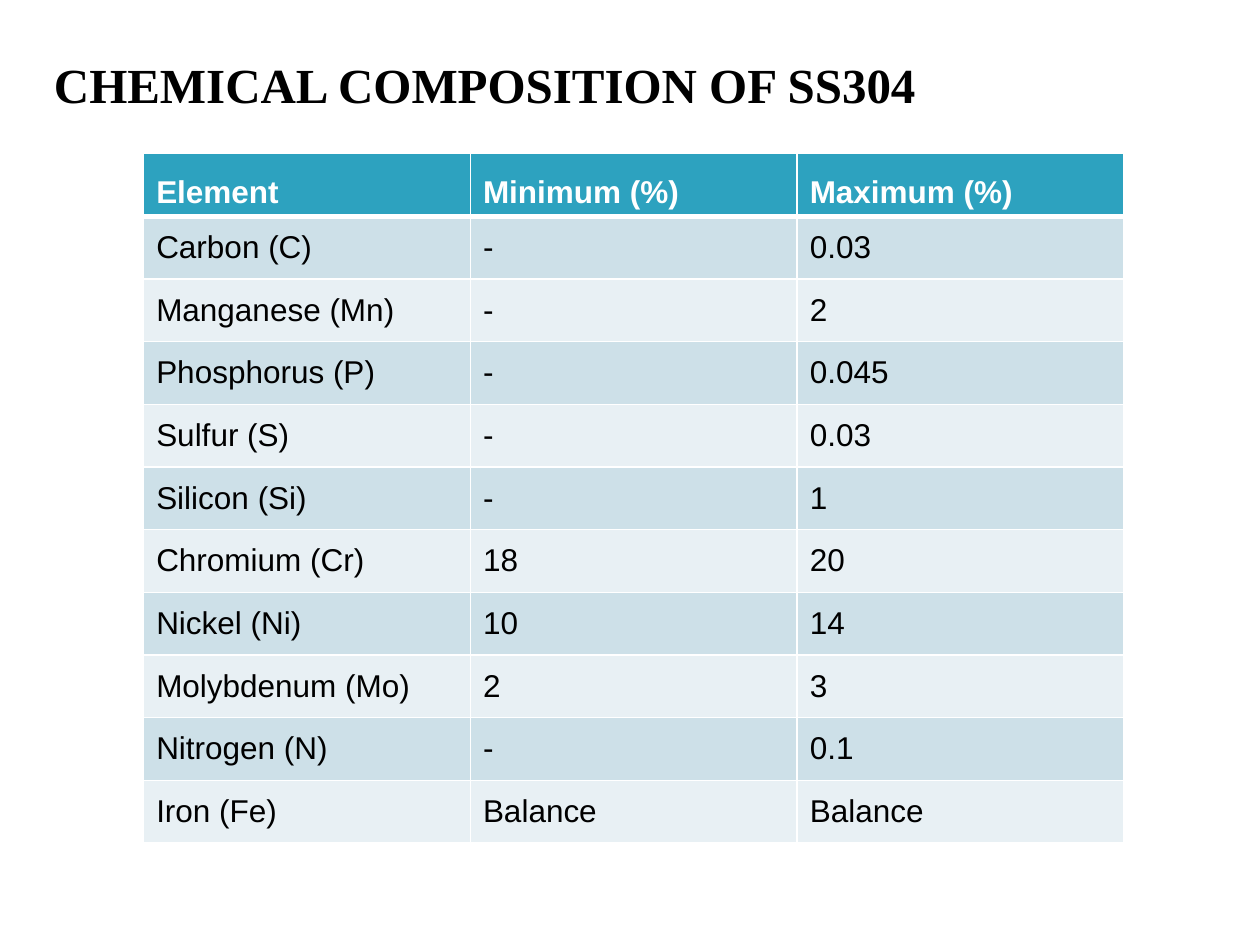
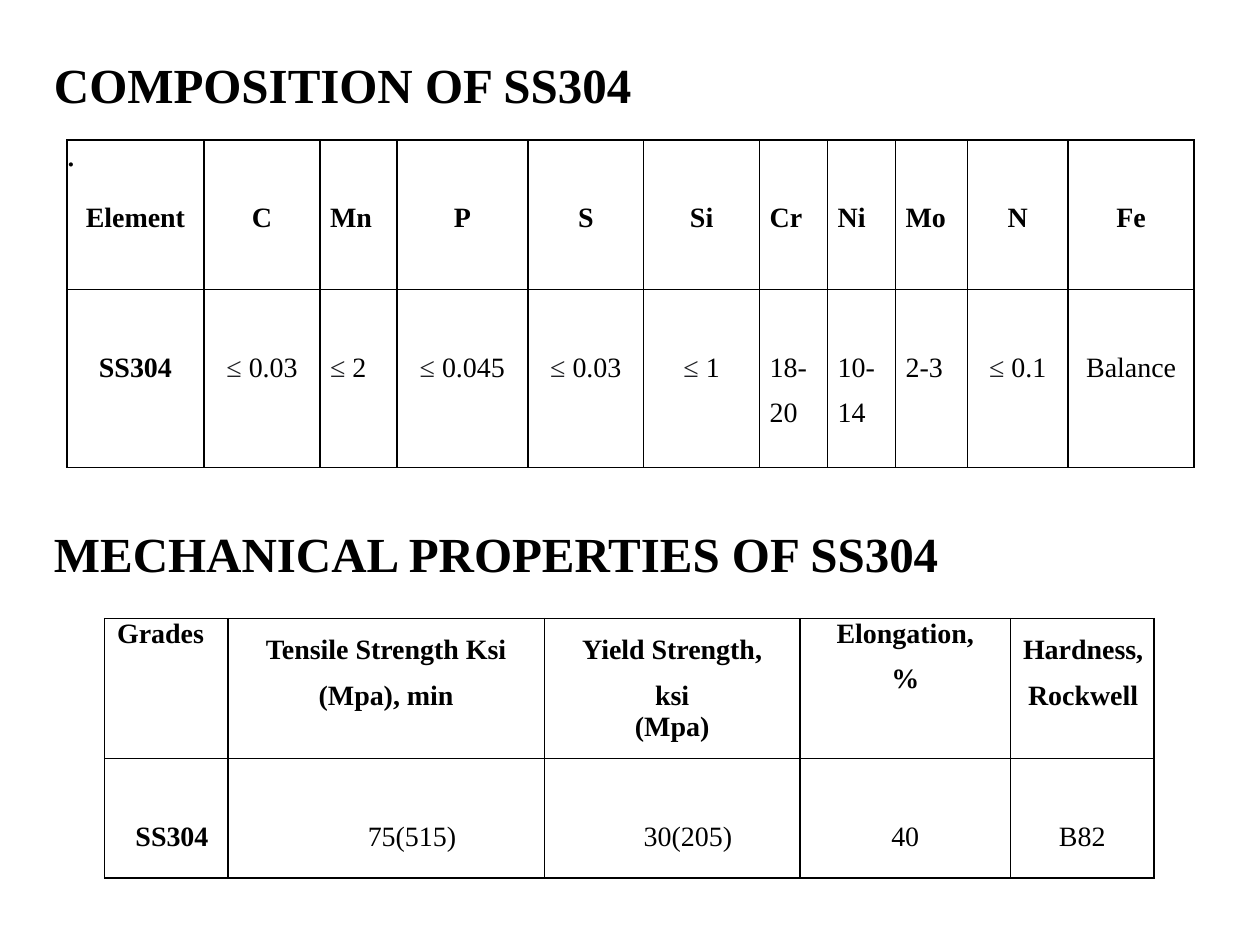
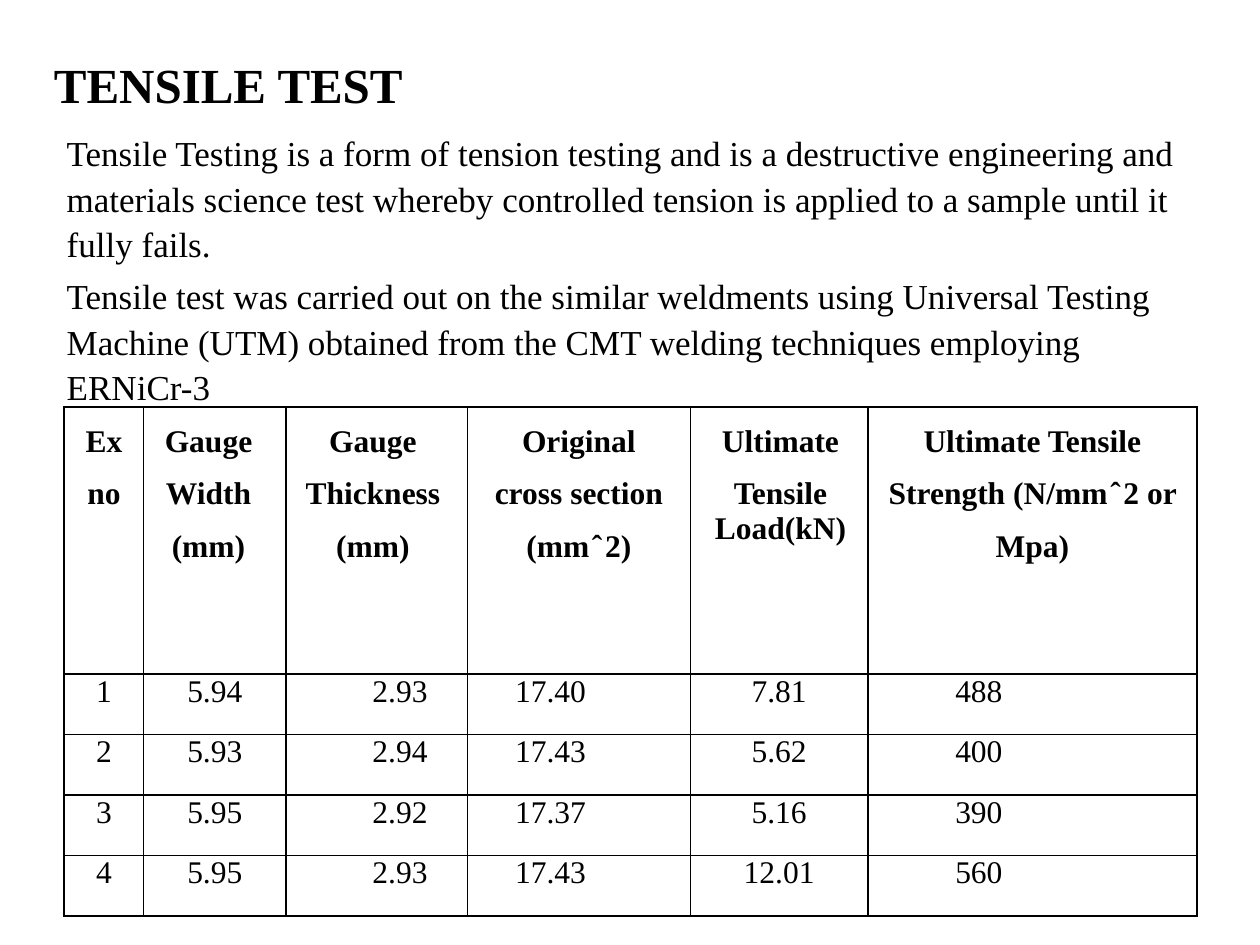
from lxml.etree import SubElement
from pptx import Presentation
from pptx.dml.color import RGBColor
from pptx.enum.text import MSO_ANCHOR, PP_ALIGN
from pptx.oxml.ns import qn
from pptx.util import Inches, Pt

SERIF, SANS = "Times New Roman", "Arial"
BLACK, WHITE, SIGN = "000000", "FFFFFF", "202124"
HEAD, BANDS = "2DA2BF", ("CDE0E8", "E8F0F4")
LEFT, MID = PP_ALIGN.LEFT, PP_ALIGN.CENTER
LEAD = 1.08
TITLE = (0.33, 0.35, 8.59, 0.5)
BODY = (0.33, 0.97, 9.33, 6.2)

ELEMENTS = [
    ("Element", "Minimum (%)", "Maximum (%)"),
    ("Carbon (C)", "-", "0.03"),
    ("Manganese (Mn)", "-", "2"),
    ("Phosphorus (P)", "-", "0.045"),
    ("Sulfur (S)", "-", "0.03"),
    ("Silicon (Si)", "-", "1"),
    ("Chromium (Cr)", "18", "20"),
    ("Nickel (Ni)", "10", "14"),
    ("Molybdenum (Mo)", "2", "3"),
    ("Nitrogen (N)", "-", "0.1"),
    ("Iron (Fe)", "Balance", "Balance"),
]
LIMITS = [
    ("Element", "C", "Mn", "P", "S", "Si", "Cr", "Ni", "Mo", "N", "Fe"),
    ("SS304", "≤ 0.03", "≤ 2", "≤ 0.045", "≤ 0.03", "≤ 1",
     "18-\n20", "10-\n14", "2-3", "≤ 0.1", "Balance"),
]
STRENGTH = [
    ("Grades", "Tensile Strength Ksi (Mpa), min", "Yield Strength, ksi\n(Mpa)",
     "Elongation,\n%", "Hardness, Rockwell"),
    ("SS304", "75(515)", "30(205)", "40", "B82"),
]
TESTS = [
    ("Ex no", "Gauge Width (mm)", "Gauge Thickness (mm)",
     "Original cross section (mm ̂ 2)", "Ultimate Tensile\nLoad(kN)",
     "Ultimate Tensile Strength (N/mm ̂ 2 or Mpa)"),
    ("1", "5.94", "2.93", "17.40", "7.81", "488"),
    ("2", "5.93", "2.94", "17.43", "5.62", "400"),
    ("3", "5.95", "2.92", "17.37", "5.16", "390"),
    ("4", "5.95", "2.93", "17.43", "12.01", "560"),
]
ABOUT = (
    "Tensile Testing is a form of tension testing and is a destructive engineering "
    "and materials science test whereby controlled tension is applied to a sample "
    "until it fully fails.\n"
    "Tensile test was carried out on the similar weldments using Universal Testing "
    "Machine (UTM) obtained from the CMT welding techniques employing ERNiCr-3"
)


def paint(code):
    """Turn a hex string into a colour."""
    return RGBColor.from_string(code)


def write(frame, text, size, bold=False, font=SERIF, color=BLACK,
          align=LEFT, lead=1, rest=1, gap=0):
    """Fill a frame; rest and gap space the paragraphs after the first."""
    frame.text = text
    for place, para in enumerate(frame.paragraphs):
        para.alignment = align
        para.line_spacing = rest if place else lead
        para.space_before = Pt(gap if place else 0)
        if para.text.startswith("≤ "):
            value = para.text[2:]
            para.text = "≤ "
            para.add_run().text = value
        for run in para.runs:
            run.font.name, run.font.size, run.font.bold = font, Pt(size), bold
            run.font.color.rgb = paint(SIGN if run.text == "≤ " else color)


def label(slide, box, text, size, bold=False, inset=0.1):
    """Place a wrapped text box."""
    frame = slide.shapes.add_textbox(*map(Inches, box)).text_frame
    frame.word_wrap = True
    frame.margin_left = Inches(inset)
    write(frame, text, size, bold, lead=LEAD, rest=LEAD, gap=4)


def title(slide, text, box=TITLE):
    """Place a bold heading."""
    label(slide, box, text, 28, True)


def edge(cell, color, base=1):
    """Draw the four borders of a cell, base being the bottom width."""
    props = cell._tc.get_or_add_tcPr()
    for side, width in (("L", 1), ("R", 1), ("T", 1), ("B", base)):
        line = SubElement(props, qn(f"a:ln{side}"), w=str(Pt(width)))
        fill = SubElement(line, qn("a:solidFill"))
        SubElement(fill, qn("a:srgbClr"), val=color)


def grid(slide, spot, cols, rows, data, style):
    """Add a table at a spot and style each cell by its row and column."""
    box = (*spot, sum(cols), sum(rows))
    table = slide.shapes.add_table(len(rows), len(cols), *map(Inches, box)).table
    table.first_row = table.horz_banding = False
    for col, width in zip(table.columns, cols):
        col.width = Inches(width)
    for row, height in zip(table.rows, rows):
        row.height = Inches(height)
    for r, line in enumerate(data):
        for c, text in enumerate(line):
            style(table.cell(r, c), text, r, c)


def plain(cell, text, size, bold, left=0, right=0, top=0, **layout):
    """Style a cell with black borders and no fill."""
    edge(cell, BLACK)
    cell.fill.background()
    cell.margin_left, cell.margin_right = Inches(left), Inches(right)
    cell.margin_top, cell.margin_bottom = Inches(top), 0
    write(cell.text_frame, text, size, bold, **layout)


def band(cell, text, r, c):
    """Style a cell of the banded element table."""
    edge(cell, WHITE, 1 if r else 3)
    cell.fill.solid()
    cell.fill.fore_color.rgb = paint(BANDS[(r - 1) % 2] if r else HEAD)
    cell.vertical_anchor = MSO_ANCHOR.MIDDLE if r else MSO_ANCHOR.BOTTOM
    write(cell.text_frame, text, 18, not r, SANS, BLACK if r else WHITE)


def limit(cell, text, r, c):
    """Style a cell of the limits table, with narrow columns to the left."""
    slim = c in (2, 6, 7, 8)
    plain(cell, text, 16, not (r and c), left=0.08 if slim else 0, top=0.5,
          align=LEFT if slim else MID, gap=8)


def grade(cell, text, r, c):
    """Style a cell of the strength table."""
    if r:
        left = (0.09, 0.41, 0.25, 0, 0)[c]
        plain(cell, text, 16, not c, left, top=0.5, align=MID)
    else:
        left, right = ((0.1, 0), (0.19, 0.19), (0.17, 0.17), (0, 0), (0.1, 0))[c]
        plain(cell, text, 16, True, left, right, align=LEFT if c in (0, 4) else MID,
              lead=1 if c in (0, 3) else 1.5, gap=8 if c == 3 else 0)
        if c == 4:
            props = cell.text_frame.paragraphs[0]._p.get_or_add_pPr()
            props.set("marL", str(Inches(0.04)))
            props.set("indent", str(Inches(-0.04)))


def test(cell, text, r, c):
    """Style a cell of the tensile test table."""
    heads = ((0.1, 0.1), (0.1, 0.2), (0.1, 0.16), (0.18, 0.18), (0.16, 0.14), (0.1, 0.1))
    values = ((0, 0), (0, 0), (0.37, 0), (0, 0.45), (0, 0), (0, 0.85))
    left, right = (values if r else heads)[c]
    plain(cell, text, 18, not r, left, right, align=MID, lead=1 if r else 1.5)


def content(slide):
    """Build the chemical composition slide."""
    title(slide, "CHEMICAL COMPOSITION OF SS304")
    size = len(ELEMENTS)
    grid(slide, (1.14, 1.22), [7.78 / 3] * 3, [5.47 / size] * size, ELEMENTS, band)


def traits(slide):
    """Build the composition and mechanical properties slide."""
    label(slide, BODY, ".", 20, inset=0.2)
    title(slide, "COMPOSITION OF SS304")
    cols = (1.09, 0.92, 0.61, 1.04, 0.92, 0.92, 0.54, 0.54, 0.57, 0.8, 1)
    grid(slide, (0.53, 1.11), cols, (1.19, 1.41), LIMITS, limit)
    title(slide, "MECHANICAL PROPERTIES OF SS304", (0.33, 4.07, 8.59, 0.5))
    cols = (0.98, 2.51, 2.03, 1.67, 1.14)
    grid(slide, (0.83, 4.91), cols, (1.11, 0.95), STRENGTH, grade)


def tension(slide):
    """Build the tensile test slide."""
    label(slide, BODY, ABOUT, 20, inset=0.2)
    title(slide, "TENSILE TEST")
    cols = (0.63, 1.13, 1.44, 1.77, 1.41, 2.61)
    grid(slide, (0.51, 3.23), cols, [2.12] + [0.48] * 4, TESTS, test)


def main():
    """Build the deck and save it."""
    deck = Presentation()
    deck.slide_width, deck.slide_height = Inches(10), Inches(7.5)
    for build in (content, traits, tension):
        build(deck.slides.add_slide(deck.slide_layouts[6]))
    deck.save("out.pptx")


if __name__ == "__main__":
    main()
